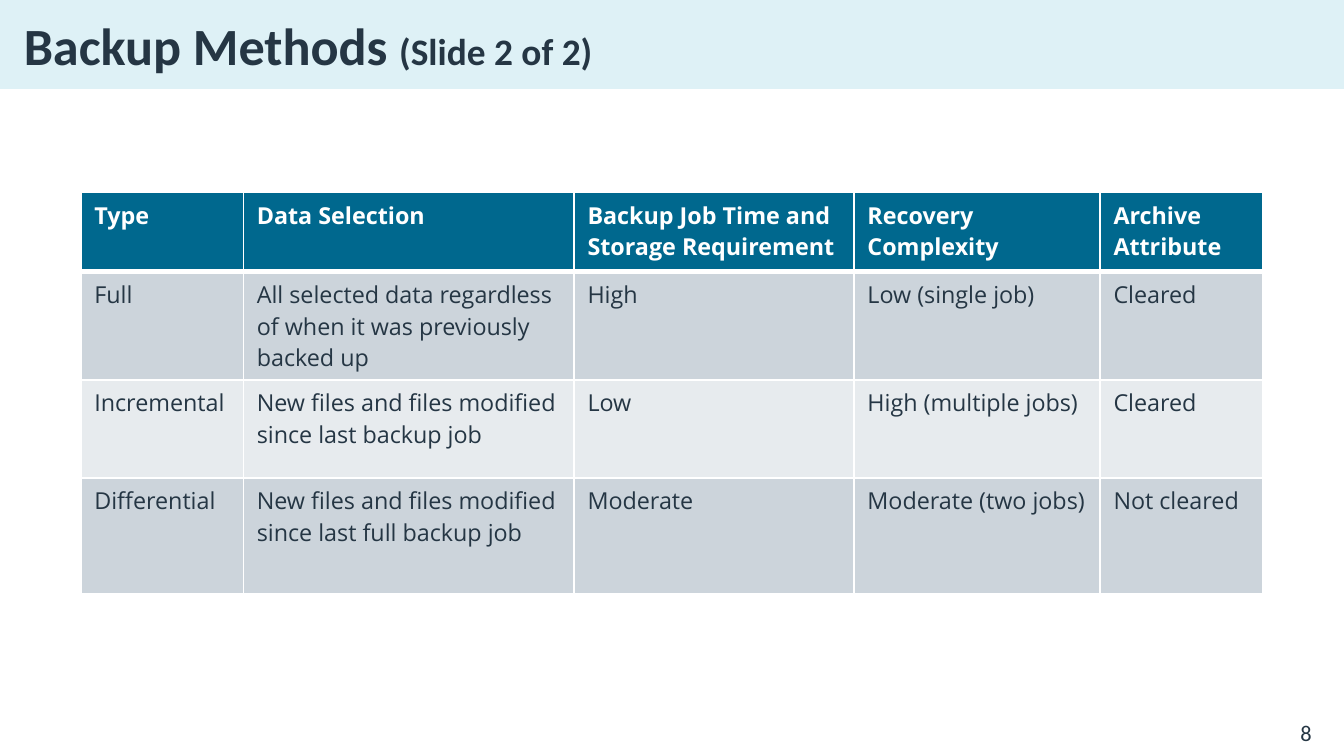
import pptx
import pptx.util
import pptx.dml.color
import pptx.enum.shapes
import pptx.enum.text
import pptx.oxml.ns
from lxml import etree
from pptx.util import Cm, Pt

COLORS = {
    "band": "7FC8DD",
    "ink": "253644",
    "header": "00688E",
    "dark_row": "CCD4DB",
    "light_row": "E7EBEE",
    "white": "FFFFFF",
}
COLUMN_WIDTHS = [3.07, 6.25, 5.29, 4.65, 3.07]
ROW_HEIGHTS = [1.5, 1.98, 1.85, 2.18]
ROWS = [
    ["Type", "Data Selection", "Backup Job Time and Storage Requirement",
     "Recovery Complexity", "Archive Attribute"],
    ["Full", "All selected data regardless of when it was previously backed up",
     "High", "Low (single job)", "Cleared"],
    ["Incremental", "New files and files modified since last backup job",
     "Low", "High (multiple jobs)", "Cleared"],
    ["Differential", "New files and files modified since last full backup job",
     "Moderate", "Moderate (two jobs)", "Not cleared"],
]


def rgb(name):
    return pptx.dml.color.RGBColor.from_string(COLORS[name])


def add_element(parent, tag, **attributes):
    return etree.SubElement(parent, pptx.oxml.ns.qn(tag), attributes)


def set_font(font, name, size, color, bold=False):
    font.name = name
    font.size = Pt(size)
    font.bold = bold
    font.color.rgb = rgb(color)


def add_title(page, left, top, width, height):
    band = page.shapes.add_shape(
        pptx.enum.shapes.MSO_SHAPE.RECTANGLE, Cm(left), Cm(top), Cm(width), Cm(height))
    band.shadow.inherit = False
    band.fill.solid()
    band.fill.fore_color.rgb = rgb("band")
    tint = band.fill._xPr.find(".//" + pptx.oxml.ns.qn("a:srgbClr"))
    add_element(tint, "a:alpha", val="25000")
    band.line.fill.background()
    frame = band.text_frame
    frame.margin_left = Cm(0.45)
    frame.vertical_anchor = pptx.enum.text.MSO_ANCHOR.MIDDLE
    para = frame.paragraphs[0]
    para.alignment = pptx.enum.text.PP_ALIGN.LEFT
    for text, size in [("Backup Methods ", 28), ("(Slide 2 of 2)", 20)]:
        span = para.add_run()
        span.text = text
        set_font(span.font, "Calibri", size, "ink", True)


def set_borders(cell, top, bottom):
    properties = cell._tc.get_or_add_tcPr()
    for side, weight in [("L", 1), ("R", 1), ("T", top), ("B", bottom)]:
        line = add_element(properties, f"a:ln{side}", w=str(Pt(weight)))
        fill = add_element(line, "a:solidFill")
        add_element(fill, "a:srgbClr", val=COLORS["white"])


def add_methods_table(page, left, top, width, height):
    table = page.shapes.add_table(
        len(ROWS), len(COLUMN_WIDTHS), Cm(left), Cm(top), Cm(width), Cm(height)).table
    for column, share in zip(table.columns, COLUMN_WIDTHS):
        column.width = Cm(width * share / sum(COLUMN_WIDTHS))
    for row, share in zip(table.rows, ROW_HEIGHTS):
        row.height = Cm(height * share / sum(ROW_HEIGHTS))
    fills = ["header", "dark_row", "light_row", "dark_row"]
    for row_index, (texts, fill) in enumerate(zip(ROWS, fills)):
        is_header = row_index == 0
        for column_index, text in enumerate(texts):
            cell = table.cell(row_index, column_index)
            set_borders(cell, 3 if row_index == 1 else 1, 3 if is_header else 1)
            cell.fill.solid()
            cell.fill.fore_color.rgb = rgb(fill)
            cell.text = text
            set_font(cell.text_frame.paragraphs[0].font, "Open Sans", 12.5,
                     "white" if is_header else "ink", is_header)


def add_page_number(page, left, top, width, height):
    box = page.shapes.add_textbox(Cm(left), Cm(top), Cm(width), Cm(height))
    frame = box.text_frame
    frame.word_wrap = True
    frame.vertical_anchor = pptx.enum.text.MSO_ANCHOR.MIDDLE
    para = frame.paragraphs[0]
    para.text = "8"
    para.alignment = pptx.enum.text.PP_ALIGN.RIGHT
    set_font(para.font, "Calibri", 12, "ink")


def main():
    deck = pptx.Presentation()
    deck.slide_width = Cm(25.4)
    deck.slide_height = Cm(14.29)
    page = deck.slides.add_slide(deck.slide_layouts[6])
    add_title(page, 0, 0, 25.4, 1.68)
    add_methods_table(page, 1.53, 3.64, sum(COLUMN_WIDTHS), sum(ROW_HEIGHTS))
    add_page_number(page, 23.72, 13.56, 1.32, 0.56)
    deck.save("out.pptx")


if __name__ == "__main__":
    main()
